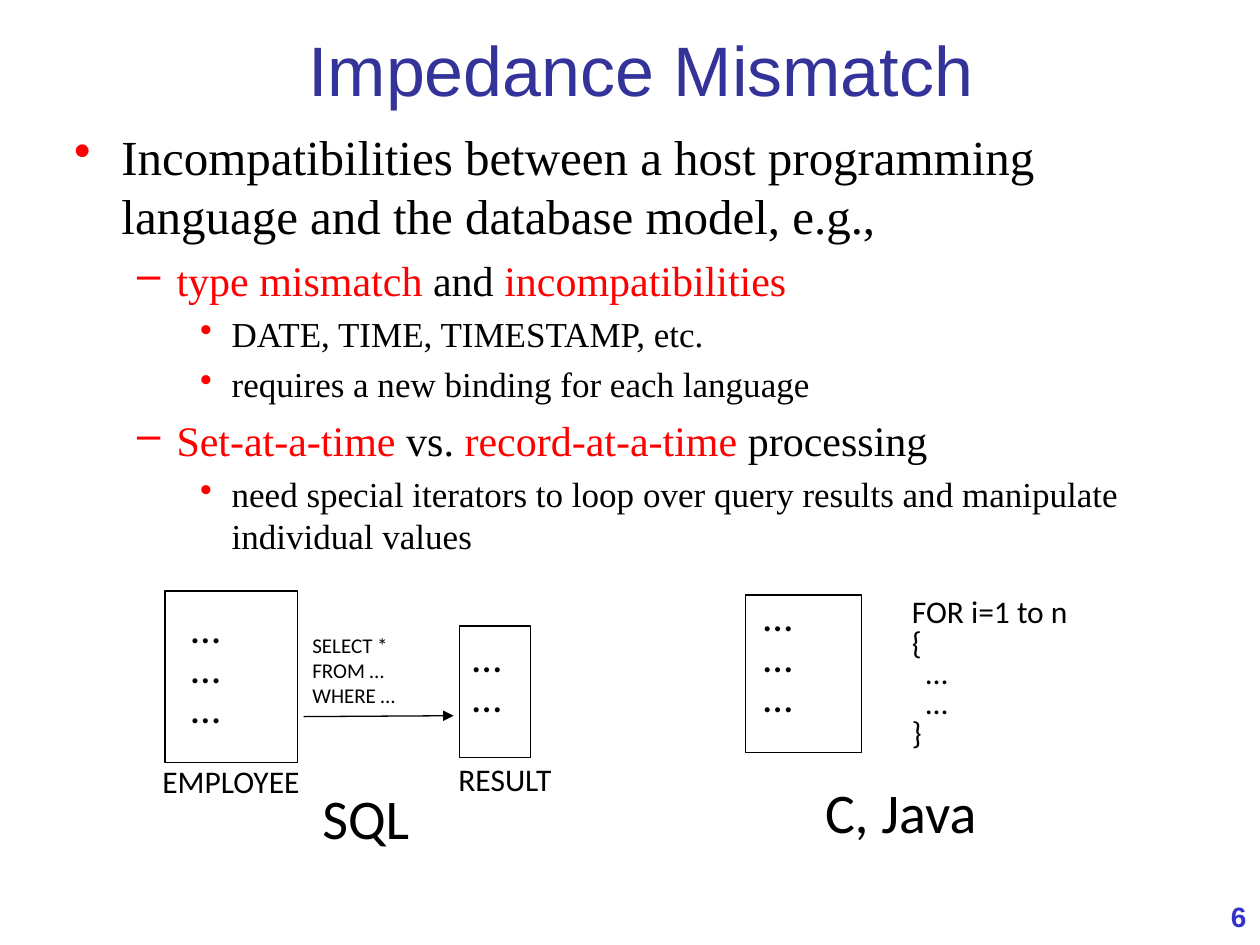
from pptx import Presentation
from pptx.dml.color import RGBColor as Rgb
from pptx.enum.shapes import MSO_CONNECTOR as Conn, MSO_SHAPE as Shape
from pptx.enum.text import MSO_ANCHOR as Anchor, MSO_AUTO_SIZE as Auto, PP_ALIGN as Align
from pptx.oxml.ns import qn
from pptx.util import Pt
from lxml.etree import SubElement as Sub

HUES = {"ink": "000000", "red": "FF0000", "title": "333399", "page": "3333CC"}
LEVELS = [(28, 27, 27, "•"), (24, 58.5, 22.5, "–"), (20, 90, 18, "•")]
POINTS = [
    (0, [("Incompatibilities between a host programming language "
          "and the database model, e.g.,", "ink")]),
    (1, [("type mismatch", "red"), (" and ", "ink"), ("incompatibilities", "red")]),
    (2, [("DATE, TIME, TIMESTAMP, etc.", "ink")]),
    (2, [("requires a new binding for each language", "ink")]),
    (1, [("Set-at-a-time", "red"), (" vs. ", "ink"),
         ("record-at-a-time", "red"), (" processing", "ink")]),
    (2, [("need special iterators to loop over query results and "
          "manipulate individual values", "ink")]),
]


def write(para, text, size=18, font="Calibri", hue="ink", bold=False,
          align=Align.LEFT, lead=None):
    para.alignment = align
    if lead:
        para.line_spacing = lead
    run = para.add_run()
    run.text = text
    run.font.size = Pt(size)
    run.font.name = font
    run.font.bold = bold
    run.font.color.rgb = Rgb.from_string(HUES[hue])


def indent(para, left, hang=0):
    props = para._p.get_or_add_pPr()
    props.set("marL", str(Pt(left)))
    props.set("indent", str(-Pt(hang)))
    return props


class Page:
    def __init__(self, deck):
        self.slide = deck.slides.add_slide(deck.slide_layouts[5])
        self.shapes = self.slide.shapes

    def title(self, text, x, y, w, h):
        box = self.shapes.title
        box.left, box.top, box.width, box.height = map(Pt, (x, y, w, h))
        frame = box.text_frame
        frame.auto_size = Auto.NONE
        frame.vertical_anchor = Anchor.MIDDLE
        write(frame.paragraphs[0], text, size=40, font="Arial", hue="title",
              align=Align.CENTER)

    def frame(self, x, y, w, h):
        frame = self.shapes.add_textbox(*map(Pt, (x, y, w, h))).text_frame
        frame.word_wrap = True
        return frame

    def text(self, lines, x, y, w, h, anchor=Anchor.TOP, inset=(), **style):
        frame = self.frame(x, y, w, h)
        frame.vertical_anchor = anchor
        for i, line in enumerate(lines):
            para = frame.add_paragraph() if i else frame.paragraphs[0]
            write(para, line, **style)
            if i in inset:
                indent(para, 8)

    def points(self, items, x, y, w, h):
        frame = self.frame(x, y, w, h)
        for i, (level, parts) in enumerate(items):
            para = frame.add_paragraph() if i else frame.paragraphs[0]
            size, left, hang, mark = LEVELS[level]
            para.level = level
            para.space_before = Pt(round(size * 0.23, 1))
            for text, hue in parts:
                write(para, text, size=size, font="Times New Roman", hue=hue)
            props = indent(para, left, hang)
            Sub(Sub(props, qn("a:buClr")), qn("a:srgbClr"), val=HUES["red"])
            Sub(props, qn("a:buChar"), char=mark)

    def rect(self, x, y, w, h):
        box = self.shapes.add_shape(Shape.RECTANGLE, *map(Pt, (x, y, w, h)))
        box.shadow.inherit = False
        box.fill.background()
        self.stroke(box)

    def arrow(self, x1, y1, x2, y2):
        link = self.shapes.add_connector(Conn.STRAIGHT, *map(Pt, (x1, y1, x2, y2)))
        self.stroke(link)
        Sub(link.line._get_or_add_ln(), qn("a:tailEnd"), type="triangle")
        Sub(link._element.spPr, qn("a:effectLst"))

    def stroke(self, shape):
        shape.line.color.rgb = Rgb.from_string(HUES["ink"])
        shape.line.width = Pt(0.75)


def main():
    deck = Presentation()
    deck.slide_width, deck.slide_height = Pt(720), Pt(540)
    page = Page(deck)

    page.title("Impedance Mismatch", 35.3, 0, 661.7, 78.5)
    page.points(POINTS, 35.3, 69, 619, 253)
    page.text(["6"], 635.8, 508.3, 83.5, 30.2, anchor=Anchor.MIDDLE,
              size=16, font="Arial", hue="page", bold=True, align=Align.RIGHT)

    for spot in [(94.3, 337.7, 75.6, 98), (262.8, 357.8, 40.3, 75),
                 (426.2, 340, 66.2, 90)]:
        page.rect(*spot)
    for x, y, rows in [(102.2, 345.6, 3), (262.8, 362.2, 2), (429.1, 339.1, 3)]:
        page.text(["…"] * rows, x, y, 53.3, 8 + 23 * rows, size=24, lead=0.8)

    page.arrow(173.5, 409.5, 259.2, 409)
    page.text(["SELECT *", "FROM …", "WHERE …"], 171.4, 357.8, 85.7, 51, size=12)
    page.text(["FOR i=1 to n", "{", "…", "…", "}"], 514, 339.1, 157, 94.3,
              lead=0.8, inset=(2, 3))

    page.text(["EMPLOYEE"], 85.7, 432, 99.4, 28.8)
    page.text(["RESULT"], 254.9, 430.6, 91.4, 28.8)
    page.text(["SQL"], 177.1, 444.2, 90, 46, size=32)
    page.text(["C, Java"], 464.4, 440.6, 131, 46, size=32)
    deck.save("out.pptx")


if __name__ == "__main__":
    main()
